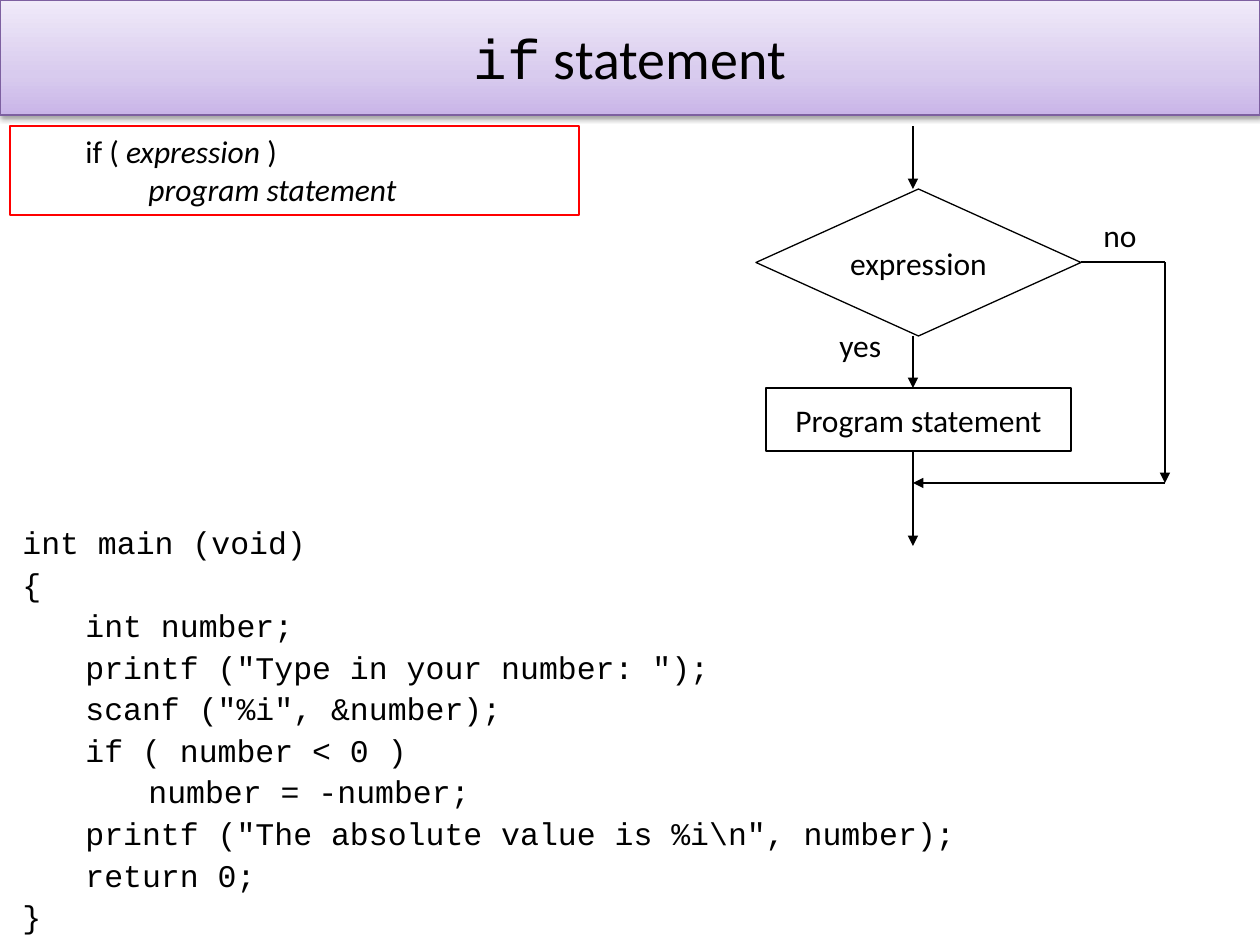
from copy import deepcopy

from lxml import etree
from pptx import Presentation
from pptx.dml.color import RGBColor
from pptx.enum.shapes import MSO_CONNECTOR, MSO_SHAPE
from pptx.enum.text import MSO_ANCHOR, MSO_AUTO_SIZE, PP_ALIGN
from pptx.oxml.ns import qn
from pptx.util import Emu, Pt

STRAIGHT = MSO_CONNECTOR.STRAIGHT
RECTANGLE = MSO_SHAPE.RECTANGLE
PROCESS = MSO_SHAPE.FLOWCHART_PROCESS
DECISION = MSO_SHAPE.FLOWCHART_DECISION
MIDDLE, TOP = MSO_ANCHOR.MIDDLE, MSO_ANCHOR.TOP
CENTER, LEFT = PP_ALIGN.CENTER, PP_ALIGN.LEFT
NO_AUTOFIT = MSO_AUTO_SIZE.NONE

SANS, MONO = "Calibri", "Courier New"
COLORS = {"ink": "000000", "syntax": "FF0000", "title_line": "7D60A0"}
TITLE_STOPS = [(0, "C9B5E8"), (0.35, "D8CBEE"), (1, "F0EAF9")]

# Content: lines are lists of (text, font, italic)
TITLE = [[("if", MONO, False), (" statement", SANS, False)]]
SYNTAX = [
    [("\tif ( ", SANS, False), ("expression ", SANS, True), (")", SANS, False)],
    [("\t\tprogram statement", SANS, True)],
]
CODE = [  # (level, line)
    (0, "int main (void)"),
    (0, "{"),
    (1, "int number;"),
    (1, 'printf ("Type in your number: ");'),
    (1, 'scanf ("%i", &number);'),
    (1, "if ( number < 0 )"),
    (1, "\tnumber = -number;"),
    (1, 'printf ("The absolute value is %i\\n", number);'),
    (1, "return 0;"),
    (0, "}"),
]
NODES = [  # (text, shape, left, top, width, height)
    ("Program statement", PROCESS, 766, 388, 305, 63),
    ("expression", DECISION, 756, 189, 325, 147),
]
LABELS = [("yes", 827, 320, 75, 50), ("no", 1091, 210, 61, 50)]

# Flow lines: main stem and the bypass for "no"
STEM, BYPASS = 913, 1165
BRANCH, MERGE = 262, 483
FLOWS = [  # (from, to, arrowhead)
    ((STEM, 126), (STEM, 189), True),
    ((STEM, 336), (STEM, 388), True),
    ((STEM, 451), (STEM, 546), True),
    ((1081, BRANCH), (BYPASS, BRANCH), False),
    ((BYPASS, BRANCH), (BYPASS, MERGE), True),
    ((BYPASS, MERGE), (STEM, MERGE), True),
]


def px(value):
    return Emu(round(value * 914400 / 126))


def rgb(name):
    return RGBColor.from_string(COLORS[name])


def outline(line, color):
    line.color.rgb = rgb(color)
    line.width = Pt(0.75)


def write(frame, lines, size=18, align=LEFT, anchor=TOP, wrap=True):
    frame.auto_size = NO_AUTOFIT
    frame.word_wrap = wrap
    frame.vertical_anchor = anchor
    for index, line in enumerate(lines):
        paragraph = frame.paragraphs[0] if index == 0 else frame.add_paragraph()
        paragraph.alignment = align
        for text, font, italic in line:
            run = paragraph.add_run()
            run.text = text
            run.font.name = font
            run.font.size = Pt(size)
            run.font.italic = italic
            run.font.color.rgb = rgb("ink")


def add_outlined(slide, kind, box, color):
    shape = slide.shapes.add_shape(kind, *map(px, box))
    shape.shadow.inherit = False
    shape.fill.background()
    outline(shape.line, color)
    return shape


def add_title(slide):
    title = slide.shapes.title
    title.left, title.top, title.width, title.height = map(px, (0, 0, 1260, 115))
    title.fill.gradient()
    title.fill.gradient_angle = 90
    stop_list = title._element.spPr.find(".//" + qn("a:gsLst"))
    stop_list.append(deepcopy(stop_list[0]))
    for stop, (position, color) in zip(title.fill.gradient_stops, TITLE_STOPS):
        stop.position = position
        stop.color.rgb = RGBColor.from_string(color)
    outline(title.line, "title_line")
    # Soft shadow below the band
    title.shadow.inherit = False
    effects = title._element.spPr.find(qn("a:effectLst"))
    shadow = etree.SubElement(effects, qn("a:outerShdw"), blurRad=str(Pt(3.1)),
                              dist=str(Pt(1.6)), dir="5400000", rotWithShape="0")
    shade = etree.SubElement(shadow, qn("a:srgbClr"), val=COLORS["ink"])
    etree.SubElement(shade, qn("a:alpha"), val="38000")
    write(title.text_frame, TITLE, 32, CENTER, MIDDLE)


def add_code(slide):
    code = slide.shapes.add_textbox(*map(px, (10, 513, 1061, 432)))
    write(code.text_frame, [[(line, MONO, False)] for _, line in CODE])
    for paragraph, (level, _) in zip(code.text_frame.paragraphs, CODE):
        paragraph.level = level
        paragraph.line_spacing = 1.1
        properties = paragraph._p.get_or_add_pPr()
        properties.set("marL", str(px(63 * level)))
        properties.set("indent", "0")


def add_flow(slide, start, end, arrow):
    flow = slide.shapes.add_connector(STRAIGHT, *map(px, start + end))
    outline(flow.line, "ink")
    if arrow:
        etree.SubElement(flow.line._get_or_add_ln(), qn("a:tailEnd"), type="triangle")
    etree.SubElement(flow._element.spPr, qn("a:effectLst"))


def main():
    deck = Presentation()
    deck.slide_width, deck.slide_height = px(1260), px(945)
    slide = deck.slides.add_slide(deck.slide_layouts[5])

    # Title and code
    add_title(slide)
    add_code(slide)

    # Syntax box
    syntax = add_outlined(slide, RECTANGLE, (10, 126, 569, 89), "syntax")
    write(syntax.text_frame, SYNTAX)

    # Flowchart
    for text, kind, *box in NODES:
        node = add_outlined(slide, kind, box, "ink")
        write(node.text_frame, [[(text, SANS, False)]], 18, CENTER, MIDDLE, False)
    for flow in FLOWS:
        add_flow(slide, *flow)
    for text, *box in LABELS:
        label = slide.shapes.add_textbox(*map(px, box))
        write(label.text_frame, [[(text, SANS, False)]], wrap=False)

    deck.save("out.pptx")


if __name__ == "__main__":
    main()
